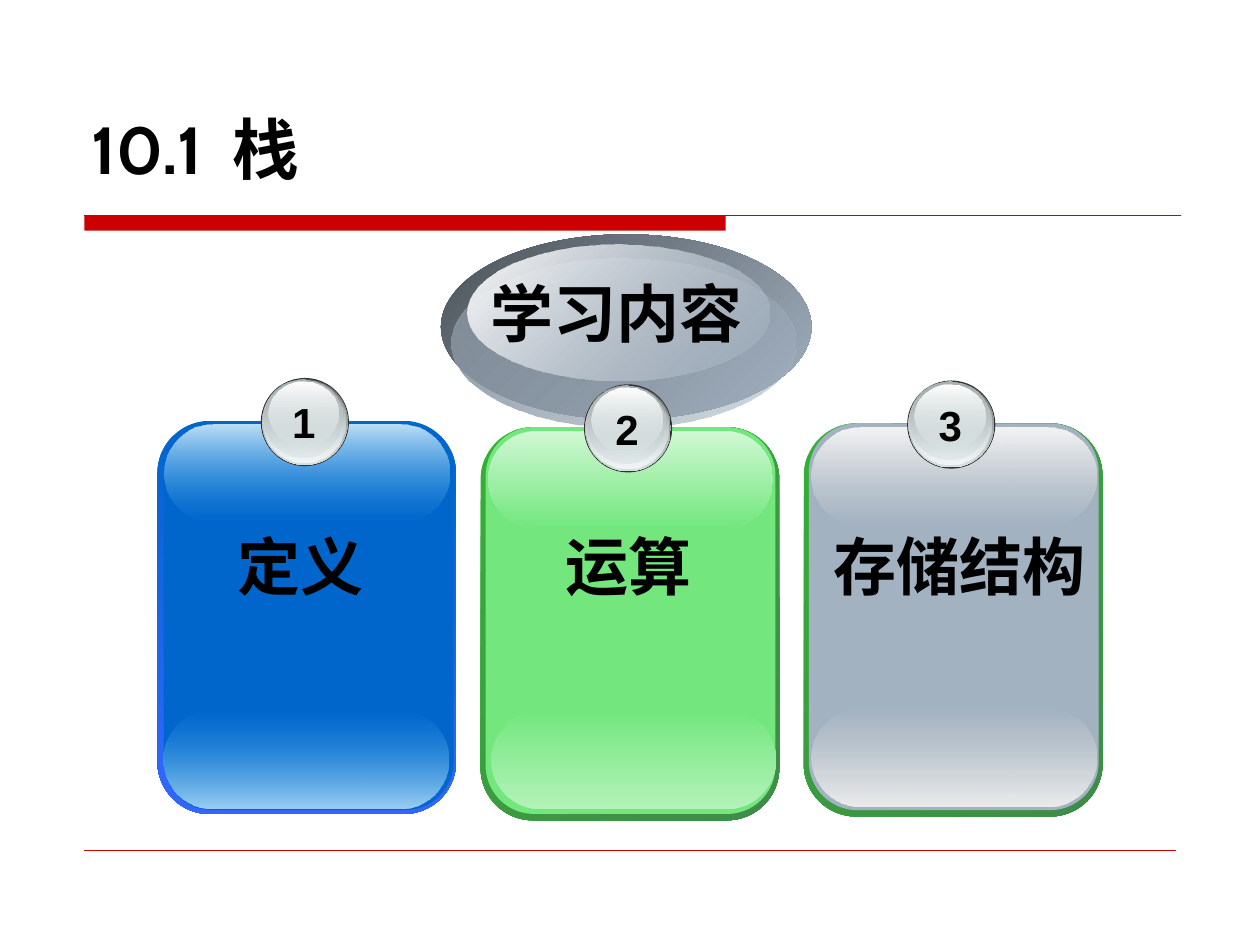
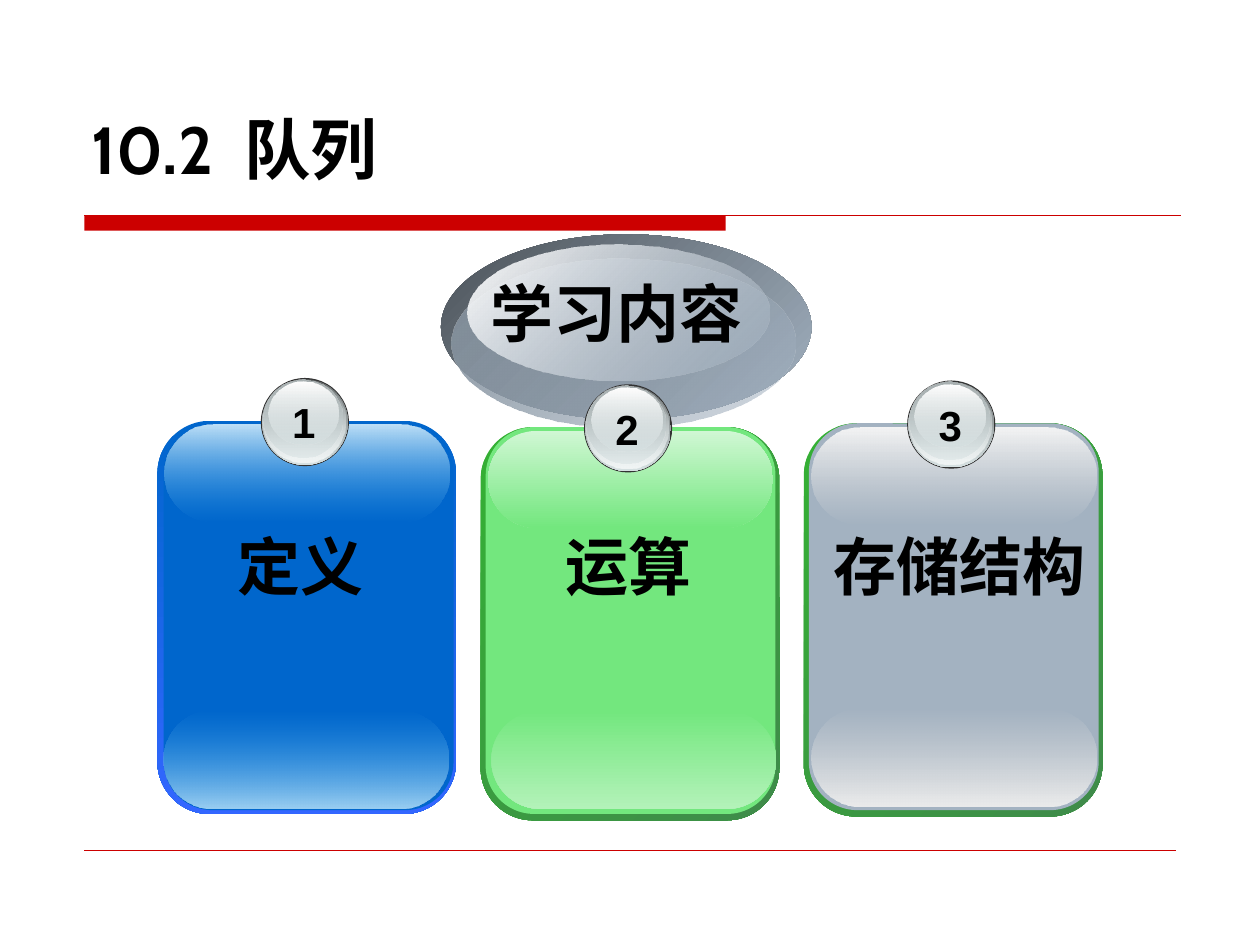
from pptx import Presentation, util as u
from pptx.dml.color import RGBColor
from pptx.enum import shapes, text
from pptx.oxml import parse_xml
from pptx.oxml.ns import nsdecls, qn
from lxml import etree

Kind = shapes.MSO_SHAPE
Align = text.PP_ALIGN

RED, BLACK = "CC0000", "000000"
GREEN = ["34B034", "3F8B4A"]

HUB = [
    (3.5, 1.86, 2.94, 1.47, ["4B5259", "A3B2C1"], (100, 100)),
    (3.58, 2.05, 2.73, 1.34, ["818D99", "A3B2C1"], (100, 48)),
    (3.71, 1.94, 2.4, 1.08, ["FFFFFF", "A3B2C1"], (100, 38)),
]
BALL = [
    (0, 0, 0.7, 0.7, ["333333"], (100,)),
    (0.01, 0.01, 0.68, 0.68, ["636869", "D6E1E2"], (100, 100)),
    (0.01, 0.01, 0.66, 0.66, ["D6E1E2", "F1F5F5"], (0, 100)),
    (0.02, 0.01, 0.63, 0.62, ["AAB2B3", "D6E1E2"], (100, 48)),
    (0.06, 0.03, 0.56, 0.5, ["FFFFFF", "D6E1E2"], (100, 38)),
]
CARDS = [
    dict(name="定义", top=3.34, rim=["0066CC", "3366FF"], turn=90,
         body="0066CC", inset=(0.05, 0.02), shine=["BEE0F7", "3CA1E6"],
         glow=["3CA1E6", "9BCFF2"], clear=0, base=(1.3, 5.64),
         label=(1.27, 2.23)),
    dict(name="运算", top=3.39, rim=GREEN, turn=45,
         body="73E77E", inset=(0.04, 0), shine=["D0F7D4", "73E77E"],
         glow=["73E77E", "B3F2B9"], clear=100, base=(3.9, 5.64),
         label=(3.87, 2.23)),
    dict(name="存储结构", top=3.36, rim=GREEN, turn=45,
         body="A3B2C1", inset=(0.04, 0), shine=["F4F4F4", "DDDDDD"],
         glow=["DDDDDD", "ECECEC"], clear=0, base=(6.44, 5.62),
         label=(6.42, 2.39)),
]


def hue(code):
    return RGBColor.from_string(code)


class Deck:
    font = "Arial"

    def __init__(self):
        self.prs = Presentation()
        self.prs.slide_width = u.Inches(10)
        self.prs.slide_height = u.Inches(7.5)

    def page(self, number, topic):
        self.slide = self.prs.slides.add_slide(self.prs.slide_layouts[5])
        self.shapes = self.slide.shapes
        self.title(number, topic)
        self.shape(Kind.RECTANGLE, 0.67, 1.71, 5.09, 0.12, [RED])
        self.line(1.71, 9.37, 0.75)
        self.line(6.75, 9.33, 0.25)

    def run(self, para, words, size, font=None):
        run = para.add_run()
        run.text = words
        run.font.name = font or self.font
        run.font.size = u.Pt(size)
        run.font.bold = True
        run.font.color.rgb = hue(BLACK)
        return run

    def title(self, number, topic):
        box = self.shapes.title
        box.left, box.top = u.Inches(0.63), u.Inches(0.21)
        box.width, box.height = u.Inches(8.75), u.Inches(1.33)
        frame = box.text_frame
        frame.auto_size = text.MSO_AUTO_SIZE.NONE
        frame.vertical_anchor = text.MSO_ANCHOR.BOTTOM
        para = frame.paragraphs[0]
        para.alignment = Align.LEFT
        self.run(para, number, 38, "Cabin")
        gap = self.run(para, " ", 38, "Cabin")
        gap.font._element.set("spc", "900")
        self.run(para, topic, 38)

    def line(self, y, end, width):
        line = self.shapes.add_connector(
            shapes.MSO_CONNECTOR.STRAIGHT,
            u.Inches(0.67), u.Inches(y), u.Inches(end), u.Inches(y))
        line.line.color.rgb = hue(RED)
        line.line.width = u.Pt(width)
        line._element.spPr.append(
            parse_xml(f"<a:effectLst {nsdecls('a')}/>"))

    def shape(self, kind, x, y, w, h, tones, alphas=(100, 100), turn=90,
              bend=None):
        item = self.shapes.add_shape(
            kind, u.Inches(x), u.Inches(y), u.Inches(w), u.Inches(h))
        item.shadow.inherit = False
        item.line.fill.background()
        if bend is not None:
            item.adjustments[0] = bend
        if len(tones) == 1:
            item.fill.solid()
            item.fill.fore_color.rgb = hue(tones[0])
            return
        item.fill.gradient()
        item.fill.gradient_angle = 360 - turn
        for stop, tone, place in zip(item.fill.gradient_stops, tones, (0, 1)):
            stop.color.rgb = hue(tone)
            stop.position = place
        marks = item._element.spPr.iter(qn("a:srgbClr"))
        for mark, alpha in zip(list(marks), alphas):
            if alpha < 100:
                etree.SubElement(mark, qn("a:alpha")).set(
                    "val", str(alpha * 1000))

    def label(self, words, x, y, w, h, size, wrap=True):
        box = self.shapes.add_textbox(
            u.Inches(x), u.Inches(y), u.Inches(w), u.Inches(h))
        frame = box.text_frame
        frame.word_wrap = wrap
        frame.auto_size = text.MSO_AUTO_SIZE.SHAPE_TO_FIT_TEXT
        para = frame.paragraphs[0]
        para.alignment = Align.CENTER
        self.run(para, words, size)

    def hub(self, words):
        for x, y, w, h, tones, alphas in HUB:
            self.shape(Kind.OVAL, x, y, w, h, tones, alphas, 45)
        self.label(words, 3.77, 2.13, 2.25, 0.7, 36)

    def ball(self, words, left, top):
        for x, y, w, h, tones, alphas in BALL:
            self.shape(Kind.OVAL, left + x, top + y, w, h, tones, alphas)
        self.label(words, left + 0.15, top + 0.1, 0.38, 0.5, 24, False)

    def card(self, index, name, top, rim, turn, body, inset, shine, glow,
             clear, base, label):
        left = 1.25 + index * 2.565
        pane = Kind.ROUNDED_RECTANGLE
        self.shape(pane, left, top, 2.37, 3.12, rim, turn=turn, bend=0.175)
        self.shape(pane, left + inset[0], top + inset[1], 2.3, 3.07, [body],
                   bend=0.167)
        self.shape(pane, *base, 2.26, 0.78, glow, (clear, 100), bend=0.5)
        self.shape(pane, left + 0.06, top + 0.03, 2.26, 0.77, shine,
                   (100, clear), bend=0.5)
        self.ball(str(index + 1), left + 0.82, top - 0.34)
        self.label(name, label[0], 4.14, label[1], 0.7, 36)


def main():
    deck = Deck()
    for number, topic in [("10.1", "栈"), ("10.2", "队列")]:
        deck.page(number, topic)
        deck.hub("学习内容")
        for index, card in enumerate(CARDS):
            deck.card(index, **card)
    deck.prs.save("out.pptx")


if __name__ == "__main__":
    main()
